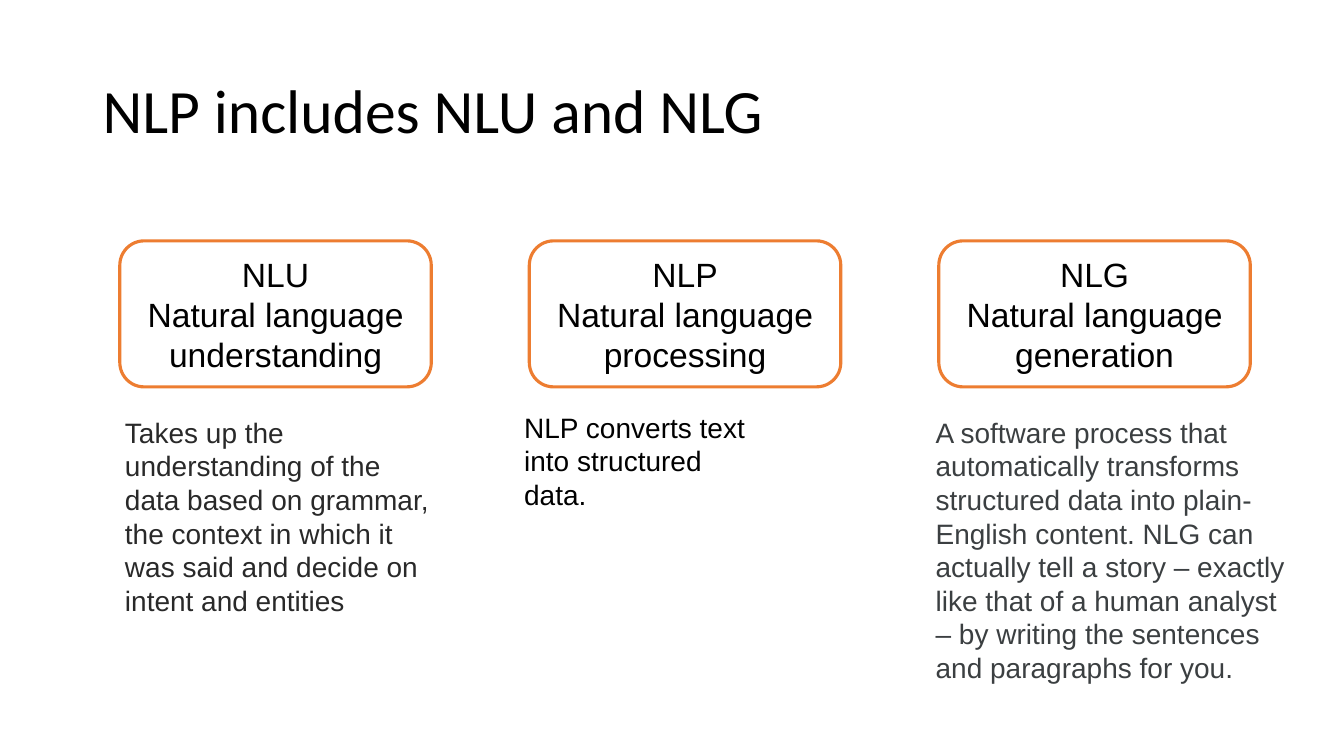
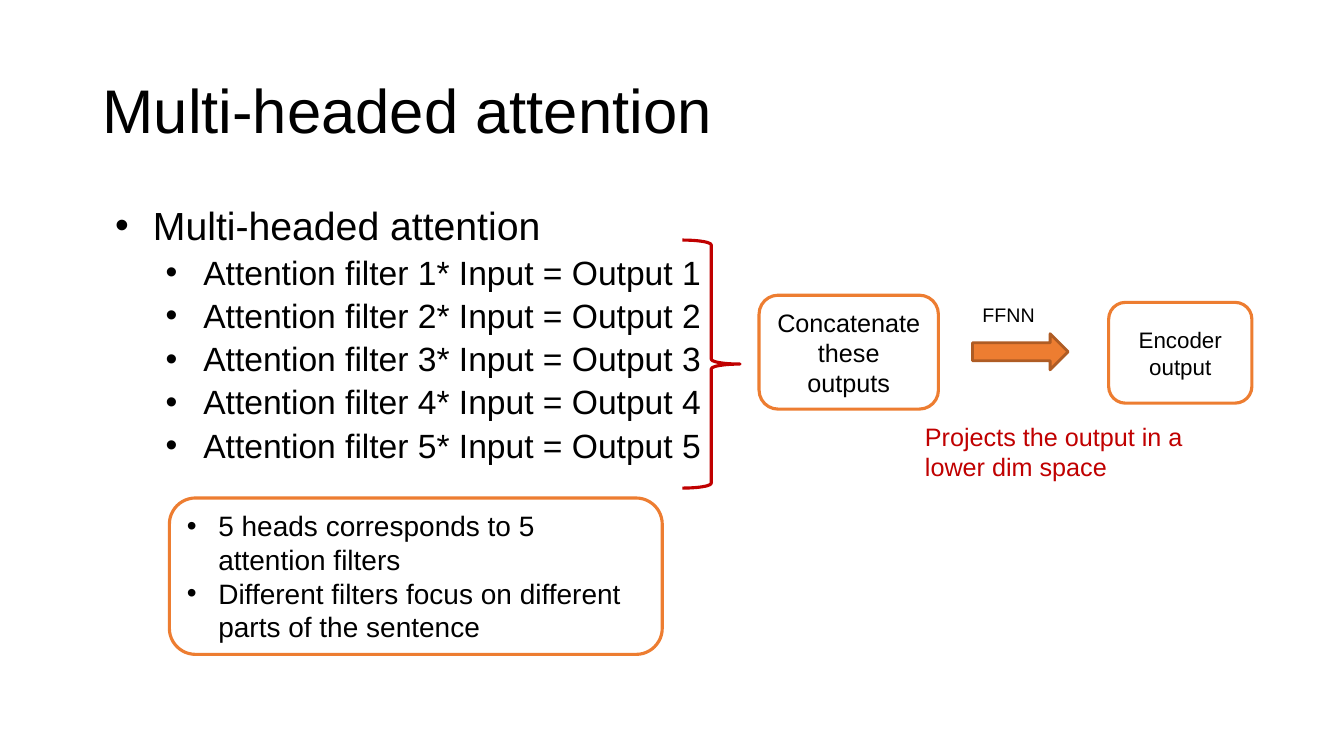
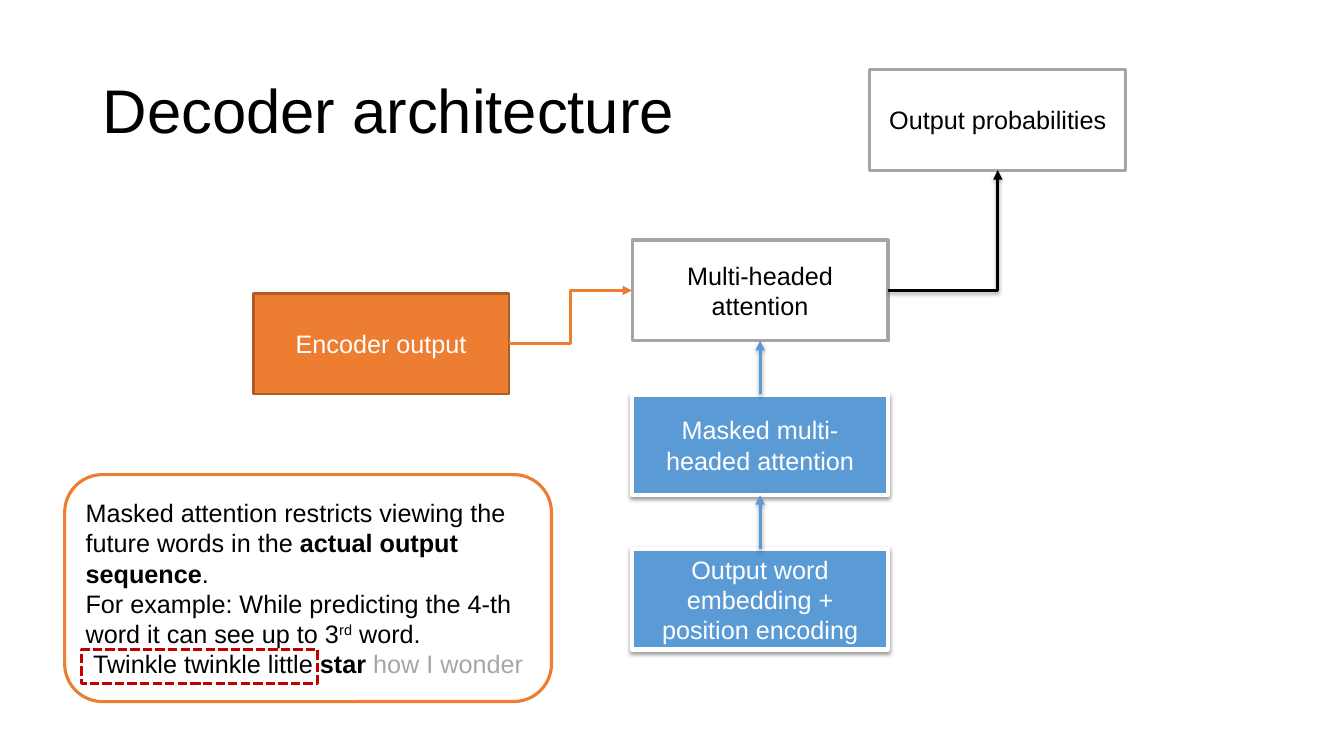
"""Build three slides on language models and attention."""
from dataclasses import dataclass

from lxml import etree
from pptx import Presentation
from pptx.dml.color import RGBColor
from pptx.enum.dml import MSO_LINE
from pptx.enum.shapes import MSO_CONNECTOR, MSO_SHAPE
from pptx.enum.text import MSO_ANCHOR, MSO_AUTO_SIZE, PP_ALIGN
from pptx.oxml.ns import qn
from pptx.util import Cm, Pt

RECT, ROUND = MSO_SHAPE.RECTANGLE, MSO_SHAPE.ROUNDED_RECTANGLE
BRACE, ARROW = MSO_SHAPE.RIGHT_BRACE, MSO_SHAPE.RIGHT_ARROW
STRAIGHT, ELBOW = MSO_CONNECTOR.STRAIGHT, MSO_CONNECTOR.ELBOW
LEFT, CENTER = PP_ALIGN.LEFT, PP_ALIGN.CENTER
MIDDLE, TOP = MSO_ANCHOR.MIDDLE, MSO_ANCHOR.TOP
FIXED, GROW = MSO_AUTO_SIZE.NONE, MSO_AUTO_SIZE.SHAPE_TO_FIT_TEXT
DASH = MSO_LINE.SQUARE_DOT
ABOVE, BEFORE, BELOW, AFTER = range(4)


@dataclass(frozen=True)
class Theme:
    """Colours, fonts and point sizes of the deck."""

    black: RGBColor = RGBColor(0, 0, 0)
    white: RGBColor = RGBColor(255, 255, 255)
    orange: RGBColor = RGBColor.from_string("ED7D31")
    rust: RGBColor = RGBColor.from_string("AF5C24")
    blue: RGBColor = RGBColor.from_string("5B9BD5")
    red: RGBColor = RGBColor.from_string("C00000")
    gray: RGBColor = RGBColor.from_string("A5A5A5")
    faint: RGBColor = RGBColor.from_string("A6A6A6")
    coal: RGBColor = RGBColor.from_string("292929")
    slate: RGBColor = RGBColor.from_string("3B3F41")
    font: str = "Arial"
    alt: str = "Calibri"
    title: int = 44
    lead: int = 28
    large: int = 24
    text: int = 20
    label: int = 18
    small: int = 16
    tiny: int = 14
    edge: float = 2.25


@dataclass(frozen=True)
class Bit:
    """A run of text with its own look."""

    text: str
    bold: bool = False
    raised: int = 0
    hue: RGBColor | None = None


LOOK = Theme()


def place(shape, box):
    """Move a shape to a box given in centimetres."""
    shape.left, shape.top, shape.width, shape.height = map(Cm, box)


def write(par, bits, size, hue=LOOK.black, font=LOOK.font, align=LEFT):
    """Add bits to a paragraph, run by run."""
    par.alignment = align
    for bit in [Bit(bits)] if isinstance(bits, str) else bits:
        run = par.add_run()
        run.text = bit.text
        run.font.size, run.font.name = Pt(size), font
        run.font.bold = bit.bold
        run.font.color.rgb = bit.hue or hue
        if bit.raised:
            run.font._element.set("baseline", str(bit.raised * 1000))


def rows(frame, items):
    """Yield a paragraph for each item of a text frame."""
    for num, item in enumerate(items):
        yield (frame.add_paragraph() if num else frame.paragraphs[0]), item


def dot(par, left, hang):
    """Give a paragraph a round bullet with a hanging indent."""
    props = par._p.get_or_add_pPr()
    props.set("marL", str(Cm(left)))
    props.set("indent", str(-Cm(hang)))
    hue = etree.SubElement(props, qn("a:buClr"))
    etree.SubElement(hue, qn("a:srgbClr"), val=str(LOOK.black))
    etree.SubElement(props, qn("a:buFont"), typeface=LOOK.font)
    etree.SubElement(props, qn("a:buChar"), char="•")


def shade(shape, alpha, dist):
    """Cast a soft shadow straight down."""
    props = shape._element.spPr
    list_ = props.find(qn("a:effectLst"))
    drop = etree.SubElement(list_, qn("a:outerShdw"), blurRad="40000",
                            dist=str(Pt(dist)), dir="5400000", rotWithShape="0")
    hue = etree.SubElement(drop, qn("a:srgbClr"), val=str(LOOK.black))
    etree.SubElement(hue, qn("a:alpha"), val=str(alpha * 1000))


def draw(slide, kind, box, fill=None, edge=LOOK.orange, width=LOOK.edge):
    """Draw a flat preset shape."""
    shape = slide.shapes.add_shape(kind, *map(Cm, box))
    shape.shadow.inherit = False
    if fill is None:
        shape.fill.background()
    else:
        shape.fill.solid()
        shape.fill.fore_color.rgb = fill
    shape.line.color.rgb, shape.line.width = edge, Pt(width)
    return shape


def card(slide, box, lines, size=LOOK.label, kind=ROUND, fill=LOOK.white,
         edge=LOOK.orange, width=LOOK.edge, hue=LOOK.black):
    """Draw a shape with centred lines of text."""
    shape = draw(slide, kind, box, fill, edge, width)
    frame = shape.text_frame
    frame.word_wrap, frame.vertical_anchor = True, MIDDLE
    for par, line in rows(frame, lines):
        write(par, line, size, hue, align=CENTER)
    return shape


def label(slide, box, text, size, hue=LOOK.black, wrap=True):
    """Add a plain text box."""
    frame = slide.shapes.add_textbox(*map(Cm, box)).text_frame
    frame.word_wrap, frame.auto_size = wrap, GROW
    write(frame.paragraphs[0], text, size, hue)


def link(slide, start, out, end, into, hue, kind=STRAIGHT, bend=None, soft=True):
    """Join two shapes with an arrow."""
    line = slide.shapes.add_connector(kind, 0, 0, 0, 0)
    line.begin_connect(start, out)
    line.end_connect(end, into)
    line.line.color.rgb, line.line.width = hue, Pt(LOOK.edge)
    props = line._element.spPr
    if bend:
        props.find(qn("a:prstGeom")).set("prst", bend)
    etree.SubElement(props.find(qn("a:ln")), qn("a:tailEnd"), type="triangle")
    etree.SubElement(props, qn("a:effectLst"))
    if soft:
        shade(line, 35, 1.8)


def start(deck, layout, text, font=LOOK.font):
    """Add a slide and set its title."""
    slide = deck.slides.add_slide(deck.slide_layouts[layout])
    title = slide.shapes.title
    place(title, (2.33, 1.01, 29.21, 3.68))
    frame = title.text_frame
    frame.auto_size, frame.vertical_anchor = FIXED, MIDDLE
    par = frame.paragraphs[0]
    par.line_spacing = 0.9
    write(par, text, LOOK.title, font=font)
    return slide


def column(slide, box, heads, text, hue, inset):
    """Draw a headed card and the words below it."""
    x, y, w, h = box
    dx, dy, wide, high = inset
    card(slide, box, heads, LOOK.large)
    label(slide, (x + dx, y + h + dy, wide, high), text, LOOK.text, hue)


def terms(deck):
    """Build the slide that compares three terms."""
    slide = start(deck, 5, "NLP includes NLU and NLG", LOOK.alt)
    parts = [
        ("NLU", "understanding",
         "Takes up the understanding of the data based on grammar, the context "
         "in which it was said and decide on intent and entities",
         LOOK.coal, (-0.12, 0.59, 8.26, 5.38)),
        ("NLP", "processing", "NLP converts text into structured data.",
         LOOK.black, (-0.38, 0.46, 6.65, 2.82)),
        ("NLG", "generation",
         "A software process that automatically transforms structured data into "
         "plain-English content. NLG can actually tell a story – exactly like "
         "that of a human analyst – by writing the sentences and paragraphs "
         "for you.", LOOK.slate, (-0.33, 0.59, 9.35, 7.09)),
    ]
    for num, (name, noun, text, hue, inset) in enumerate(parts):
        column(slide, (3.02 + num * 10.32, 6.07, 7.85, 3.68),
               (name, f"Natural language {noun}"), text, hue, inset)


def outline(slide, box):
    """Fill the body with the filters and brace them."""
    x, y, *_ = box
    body = slide.placeholders[1]
    place(body, box)
    frame = body.text_frame
    frame.auto_size, frame.vertical_anchor = FIXED, TOP
    items = ["Multi-headed attention"]
    items += [f"Attention filter {n}* Input = Output {n}" for n in range(1, 6)]
    for par, item in rows(frame, items):
        sub = item != items[0]
        par.level, par.line_spacing = int(sub), 0.9
        par.space_before = Pt(5 if sub else 10)
        dot(par, 2.54 if sub else 1.27, 0.95)
        write(par, item, LOOK.large if sub else LOOK.lead)
    draw(slide, BRACE, (x + 14.87, y + 0.97, 1.45, 6.25), edge=LOOK.red)


def heads(slide, box):
    """Draw the bulleted note on heads."""
    lines = ("5 heads corresponds to 5 attention filters",
             "Different filters focus on different parts of the sentence")
    frame = card(slide, box, lines, LOOK.text).text_frame
    for par in frame.paragraphs:
        par.alignment = LEFT
        dot(par, 0.79, 0.79)


def flow(slide, x, y):
    """Draw the path from joined outputs to the encoder output."""
    card(slide, (x, y, 4.52, 2.87), ["Concatenate these outputs"])
    card(slide, (x + 8.81, y + 0.18, 3.61, 2.54), ["Encoder output"], LOOK.small)
    draw(slide, ARROW, (x + 5.38, y + 0.97, 2.41, 0.91),
         LOOK.orange, LOOK.rust, 2)
    label(slide, (x + 5.38, y + 0.08, 1.93, 1.02), "FFNN", LOOK.tiny, wrap=False)
    label(slide, (x + 3.93, y + 3.05, 8.1, 1.8),
          "Projects the output in a lower dim space", LOOK.label, LOOK.red)


def multi(deck):
    """Build the slide on attention with many heads."""
    slide = start(deck, 1, "Multi-headed attention")
    outline(slide, (2.33, 5.08, 29.21, 12.09))
    heads(slide, (4.27, 12.55, 12.42, 3.94))
    flow(slide, 19.13, 7.44)


def graph(slide, x, y):
    """Draw the decoder blocks and their arrows."""
    def block(dx, dy, text, fill, edge, width, hue):
        """Draw one block of the graph."""
        return card(slide, (x + dx, y + dy, 6.45, 2.54), [text], LOOK.label,
                    RECT, fill, edge, width, hue)

    plain = LOOK.white, LOOK.gray, LOOK.edge, LOOK.black
    solid = LOOK.blue, LOOK.white, 3, LOOK.white
    warm = LOOK.orange, LOOK.rust, 2, LOOK.white
    names = (("Multi-headed attention", plain),
             ("Masked multi-headed attention", solid),
             ("Output word embedding + position encoding", solid))
    multi_, mask, embed = [block(9.55, 4.3 + num * 3.89, name, *style)
                           for num, (name, style) in enumerate(names)]
    for shape in (mask, embed):
        shade(shape, 38, 1.6)
    code = block(0, 5.64, "Encoder output", *warm)
    odds = block(15.54, 0, "Output probabilities", *plain)
    link(slide, embed, ABOVE, mask, BELOW, LOOK.blue)
    link(slide, mask, ABOVE, multi_, BELOW, LOOK.blue)
    link(slide, code, AFTER, multi_, BEFORE, LOOK.orange, ELBOW, soft=False)
    link(slide, multi_, AFTER, odds, BELOW, LOOK.black, ELBOW, "bentConnector2")


def sample(slide, box):
    """Draw the note on masks with its framed words."""
    x, y, *_ = box
    lines = (
        [Bit("Masked attention restricts viewing the future words in the "),
         Bit("actual output sequence", bold=True), Bit(".")],
        [Bit("For example: While predicting the 4-th word it can see up to 3"),
         Bit("rd", raised=30), Bit(" word.")],
        [Bit("Twinkle twinkle little "), Bit("star ", bold=True),
         Bit("how I wonder", hue=LOOK.faint)],
    )
    frame = card(slide, box, lines).text_frame
    for par in frame.paragraphs[:2]:
        par.alignment = LEFT
    mark = draw(slide, RECT, (x + 0.43, y + 4.4, 5.94, 0.86), edge=LOOK.red)
    mark.line.dash_style = DASH


def decoder(deck):
    """Build the slide on the decoder."""
    slide = start(deck, 5, "Decoder architecture")
    graph(slide, 6.38, 1.75)
    sample(slide, (1.63, 11.96, 12.27, 5.72))


def main():
    """Build and save the deck."""
    deck = Presentation()
    deck.slide_width, deck.slide_height = Cm(33.87), Cm(19.05)
    for build in (terms, multi, decoder):
        build(deck)
    deck.save("out.pptx")


if __name__ == "__main__":
    main()
